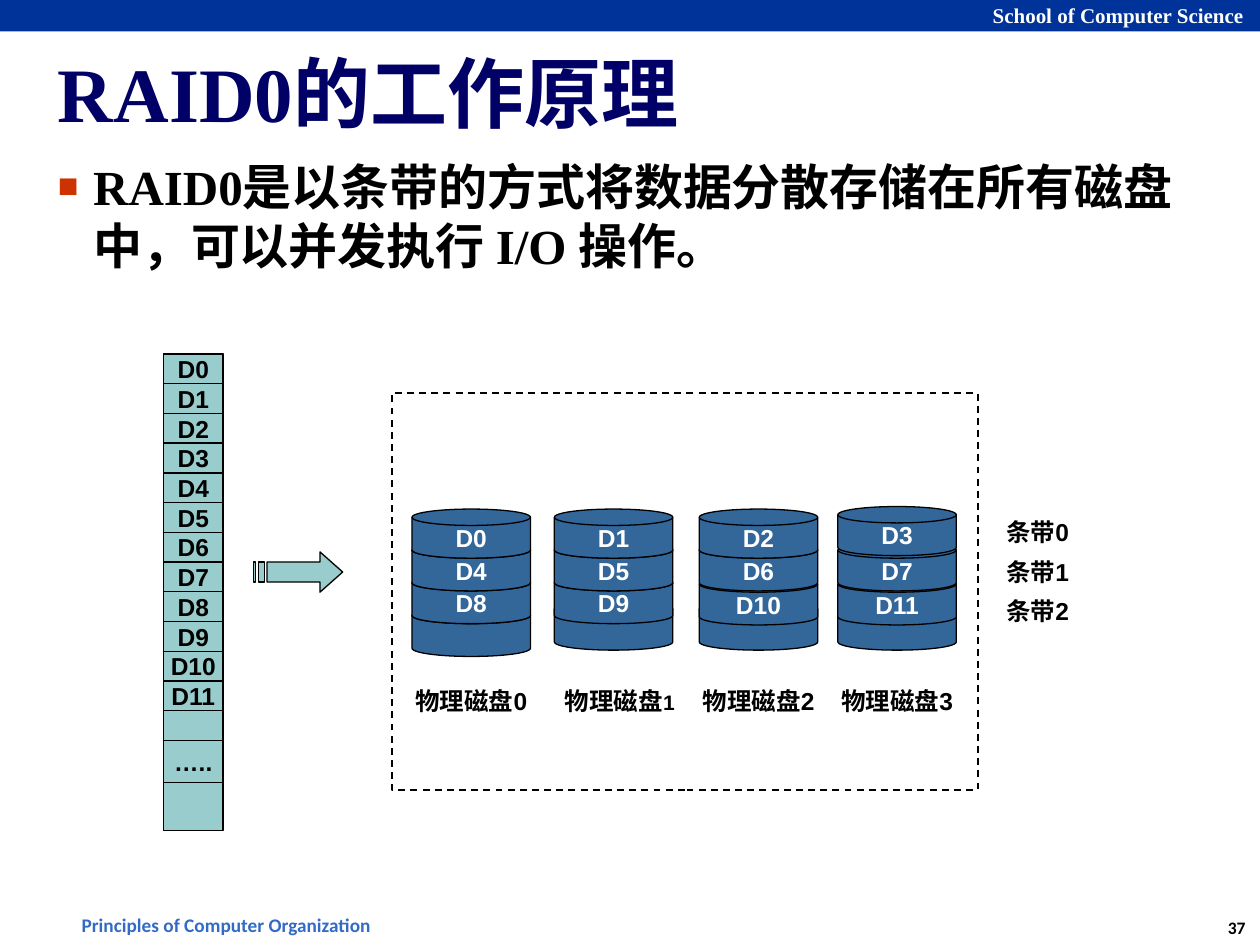
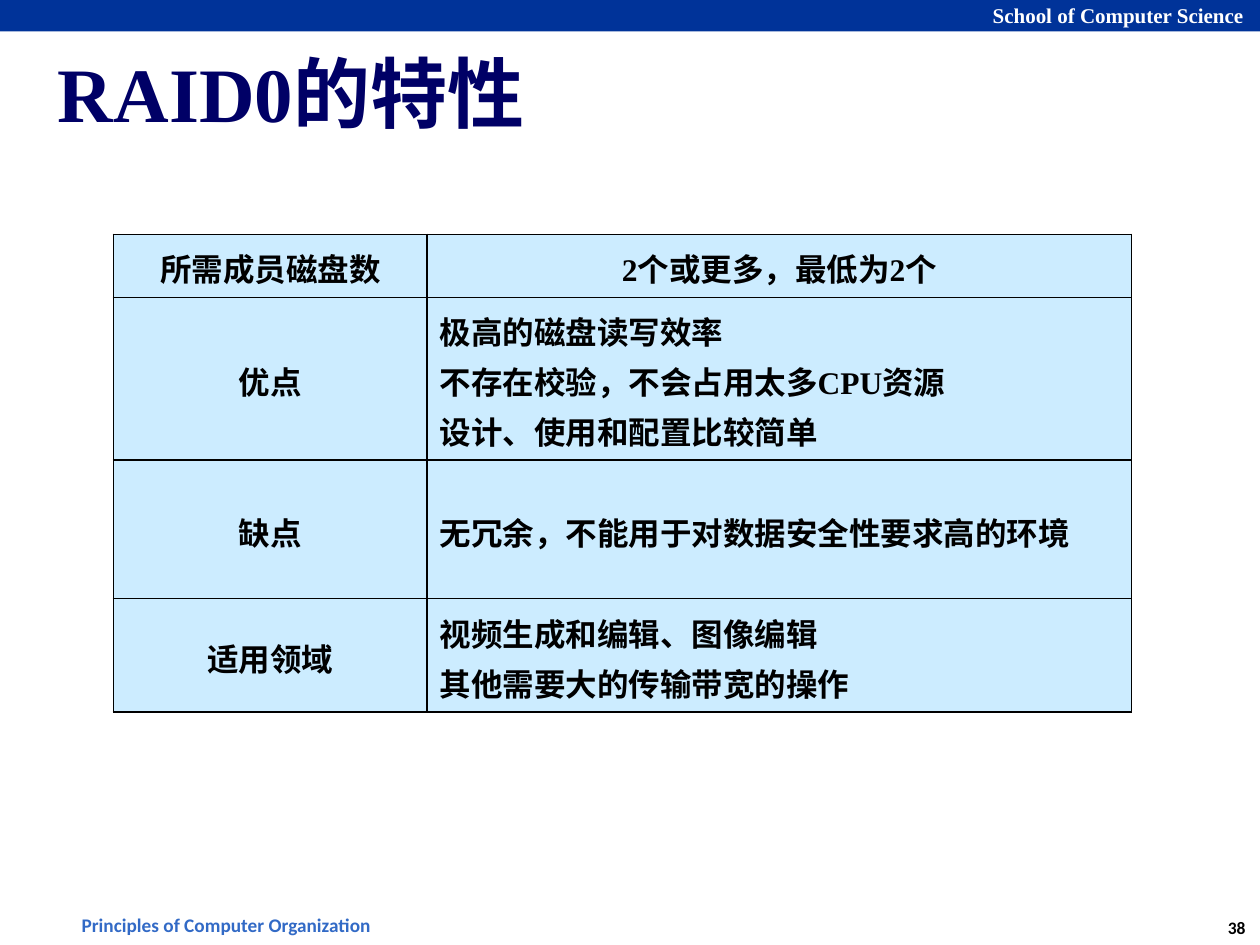
from dataclasses import dataclass

from lxml import etree
from pptx import Presentation
from pptx.dml.color import RGBColor
from pptx.enum.dml import MSO_LINE
from pptx.enum.shapes import MSO_SHAPE
from pptx.enum.text import MSO_ANCHOR, MSO_AUTO_SIZE, PP_ALIGN
from pptx.oxml.ns import qn
from pptx.util import Inches, Pt

RECT = MSO_SHAPE.RECTANGLE
DRUM = MSO_SHAPE.FLOWCHART_MAGNETIC_DISK
DASH = MSO_LINE.DASH
MID, TOP = MSO_ANCHOR.MIDDLE, MSO_ANCHOR.TOP
LEFT, CENTER = PP_ALIGN.LEFT, PP_ALIGN.CENTER

HUES = {
    "black": "000000",
    "white": "FFFFFF",
    "band": "003399",
    "title": "000066",
    "footer": "326AC6",
    "bullet": "CC3300",
    "data": "99CCCC",
    "disk": "336699",
    "cell": "CCECFF",
}
SERIF, SANS, FOOT = "Times New Roman", "Arial", "Calibri"


@dataclass(frozen=True)
class Box:
    left: float
    top: float
    width: float
    height: float

    def emu(self) -> list:
        return [Inches(v) for v in (self.left, self.top, self.width, self.height)]


@dataclass(frozen=True)
class Disk:
    left: float
    tops: tuple
    label: float
    size: int = 14


TITLE = Box(0.42, 0.28, 9.17, 0.89)
BODY = Box(0.42, 1.2, 9.17, 5.72)
STACK = Box(1.3, 2.81, 0.47, 3.78)
BLOCKS = 12
PITCH = 2.83 / BLOCKS
DISKS = (
    Disk(3.27, (4.04, 4.3, 4.56, 4.82), 3.14),
    Disk(4.4, (4.04, 4.3, 4.56, 4.77), 4.32, 12),
    Disk(5.55, (4.04, 4.3, 4.57, 4.77), 5.42),
    Disk(6.65, (4.02, 4.3, 4.57, 4.77), 6.52),
)
ARROW = (
    ((254, 438), (254, 446), (212, 446), (212, 462), (254, 462), (254, 470), (272, 454)),
    ((205, 446), (205, 462), (210, 462), (210, 446)),
    ((201, 446), (201, 462), (203, 462), (203, 446)),
)
ROWS = (
    (0.5, "所需成员磁盘数", ("2个或更多，最低为2个",)),
    (1.29, "优点", ("极高的磁盘读写效率", "不存在校验，不会占用太多CPU资源", "设计、使用和配置比较简单")),
    (1.1, "缺点", ("无冗余，不能用于对数据安全性要求高的环境",)),
    (0.9, "适用领域", ("视频生成和编辑、图像编辑", "其他需要大的传输带宽的操作")),
)


def color(name: str) -> RGBColor:
    return RGBColor.from_string(HUES[name])


def write(frame, *lines: str, size=14, font=SANS, hue="black", align=CENTER,
          anchor=MID, wrap=False, inset=None, space=None, tail=None) -> None:
    frame.word_wrap = wrap
    frame.vertical_anchor = anchor
    if inset is not None:
        frame.margin_left = frame.margin_right = Inches(inset)
        frame.margin_top = frame.margin_bottom = Inches(inset)
    for i, line in enumerate(lines):
        para = frame.paragraphs[0] if i == 0 else frame.add_paragraph()
        para.alignment = align
        if space:
            para.line_spacing = space
        runs = [(line, size)] + ([tail] if tail else [])
        for text, points in runs:
            run = para.add_run()
            run.text = text
            run.font.size = Pt(points)
            run.font.name = font
            run.font.bold = True
            run.font.color.rgb = color(hue)


def paint(shape, fill=None, line=None, width=0.75):
    shape.shadow.inherit = False
    if fill:
        shape.fill.solid()
        shape.fill.fore_color.rgb = color(fill)
    else:
        shape.fill.background()
    if line:
        shape.line.color.rgb = color(line)
        shape.line.width = Pt(width)
    else:
        shape.line.fill.background()
    return shape


def block(slide, kind, box: Box, fill: str, text="", hue="black") -> None:
    shape = paint(slide.shapes.add_shape(kind, *box.emu()), fill, "black")
    if text:
        write(shape.text_frame, text, hue=hue)


def label(slide, box: Box, *lines: str, **form):
    frame = slide.shapes.add_textbox(*box.emu()).text_frame
    write(frame, *lines, **form)
    return frame


def bullet(para) -> None:
    props = para._p.get_or_add_pPr()
    props.set("marL", str(Inches(0.28)))
    props.set("indent", str(Inches(-0.28)))
    tint = etree.SubElement(props, qn("a:buClr"))
    etree.SubElement(tint, qn("a:srgbClr"), val=HUES["bullet"])
    etree.SubElement(props, qn("a:buSzPct"), val="70000")
    etree.SubElement(props, qn("a:buFont"), typeface=SANS)
    etree.SubElement(props, qn("a:buChar"), char="■")


def start(deck, title: str, number: int):
    slide = deck.slides.add_slide(deck.slide_layouts[5])
    paint(slide.shapes.add_shape(RECT, *Box(0, 0, 10, 0.25).emu()), "band")
    label(slide, Box(7.78, -0.03, 2.21, 0.3), "School of Computer Science",
          size=12, font=SERIF, hue="white", align=LEFT, anchor=TOP)
    label(slide, Box(0.55, 7.2, 2.56, 0.29), "Principles of Computer Organization",
          size=11, font=FOOT, hue="footer", align=LEFT, anchor=TOP)
    label(slide, Box(9.63, 7.23, 0.37, 0.27), str(number),
          size=10, font=FOOT, anchor=TOP)
    head = slide.shapes.title
    head.left, head.top, head.width, head.height = TITLE.emu()
    head.text_frame.auto_size = MSO_AUTO_SIZE.NONE
    write(head.text_frame, title, size=44, font=SERIF, hue="title",
          align=LEFT, wrap=True, inset=0.04)
    return slide


def stack(slide) -> None:
    block(slide, RECT, STACK, "data")
    for i in range(BLOCKS):
        box = Box(STACK.left, STACK.top + i * PITCH, STACK.width, PITCH)
        block(slide, RECT, box, "data", f"D{i}")
    block(slide, RECT, Box(STACK.left, 5.88, STACK.width, 0.33), "data", "…..")


def arrow(slide) -> None:
    pen = slide.shapes.build_freeform(*ARROW[0][0], scale=Inches(0.01))
    for i, points in enumerate(ARROW):
        if i:
            pen.move_to(*points[0])
        pen.add_line_segments(points[1:], close=True)
    paint(pen.convert_to_shape(), "data", "black")


def array(slide) -> None:
    frame = slide.shapes.add_shape(RECT, *Box(3.11, 3.12, 4.65, 3.15).emu())
    paint(frame, line="black", width=1).line.dash_style = DASH
    for col, disk in enumerate(DISKS):
        last = len(disk.tops) - 1
        for row in range(last, -1, -1):
            text = f"D{row * len(DISKS) + col}" if row < last else ""
            box = Box(disk.left, disk.tops[row], 0.94, 0.39)
            block(slide, DRUM, box, "disk", text, "white")
        label(slide, Box(disk.label, 5.48, 1.2, 0.16), "物理磁盘",
              tail=(str(col), disk.size), inset=0)
    for i in range(3):
        label(slide, Box(7.84, 4.14 + i * 0.315, 0.79, 0.16), f"条带{i}")


def edge(cell) -> None:
    props = cell._tc.get_or_add_tcPr()
    for side in "LRTB":
        line = etree.SubElement(props, qn(f"a:ln{side}"), w=str(Pt(1)))
        fill = etree.SubElement(line, qn("a:solidFill"))
        etree.SubElement(fill, qn("a:srgbClr"), val=HUES["black"])


def traits(slide) -> None:
    box = Box(0.9, 1.86, 8.08, sum(row[0] for row in ROWS))
    table = slide.shapes.add_table(len(ROWS), 2, *box.emu()).table
    table.first_row = table.horz_banding = False
    for col, width in zip(table.columns, (2.49, 5.59)):
        col.width = Inches(width)
    for i, (height, name, lines) in enumerate(ROWS):
        table.rows[i].height = Inches(height)
        for j, texts in enumerate(((name,), lines)):
            cell = table.cell(i, j)
            edge(cell)
            cell.fill.solid()
            cell.fill.fore_color.rgb = color("cell")
            cell.vertical_anchor = MID
            write(cell.text_frame, *texts, size=18, font=SERIF, wrap=True, space=1.1,
                  align=LEFT if i and j else CENTER)


def main() -> None:
    deck = Presentation()
    deck.slide_width, deck.slide_height = Inches(10), Inches(7.5)

    slide = start(deck, "RAID0的工作原理", 37)
    body = label(slide, BODY,
                 "RAID0是以条带的方式将数据分散存储在所有磁盘中，可以并发执行 I/O 操作。",
                 size=28, font=SERIF, align=LEFT, anchor=TOP, wrap=True, inset=0.04)
    bullet(body.paragraphs[0])
    stack(slide)
    arrow(slide)
    array(slide)

    traits(start(deck, "RAID0的特性", 38))
    deck.save("out.pptx")


if __name__ == "__main__":
    main()
